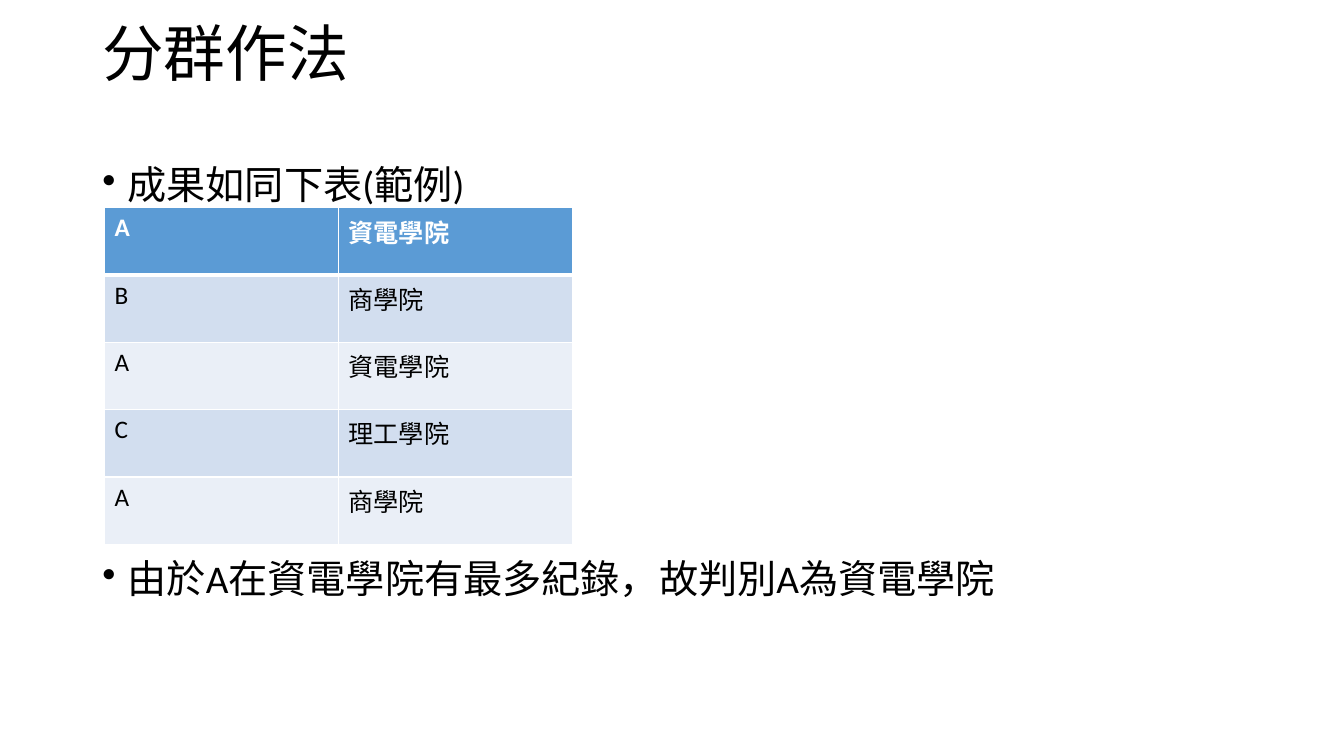
from dataclasses import dataclass

from lxml import etree
from pptx import Presentation
from pptx.dml.color import RGBColor
from pptx.enum.text import MSO_ANCHOR
from pptx.oxml.ns import qn
from pptx.util import Pt

TOP, MIDDLE = MSO_ANCHOR.TOP, MSO_ANCHOR.MIDDLE
FONT = "Calibri"
BLACK, WHITE = "000000", "FFFFFF"
HEAD, BANDS = "5B9BD5", ("D2DEEF", "EAEFF7")
COL, ROW = 167.2, 48.1
INDENT = 18


@dataclass
class Label:
    text: str
    top: float
    width: float
    height: float
    size: float
    anchor: MSO_ANCHOR = TOP
    bullet: bool = False


LABELS = [
    Label("分群作法", -11.5, 828, 104.4, 44, MIDDLE),
    Label("成果如同下表(範例)", 115, 877, 44, 28, bullet=True),
    Label("由於A在資電學院有最多紀錄，故判別A為資電學院", 396.4, 877, 44, 28, bullet=True),
]
RECORDS = [
    ("A", "資電學院"),
    ("B", "商學院"),
    ("A", "資電學院"),
    ("C", "理工學院"),
    ("A", "商學院"),
]


def color(code: str) -> RGBColor:
    return RGBColor.from_string(code)


def style(para, size: float, code: str, bold: bool = False) -> None:
    font = para.font
    font.name, font.size, font.bold = FONT, Pt(size), bold
    font.color.rgb = color(code)


def add_label(slide, label: Label) -> None:
    box = slide.shapes.add_textbox(Pt(66), Pt(label.top), Pt(label.width), Pt(label.height))
    frame = box.text_frame
    frame.word_wrap = True
    frame.vertical_anchor = label.anchor
    para = frame.paragraphs[0]
    para.text = label.text
    para.line_spacing = 0.9
    style(para, label.size, BLACK)
    if label.bullet:
        props = para._p.get_or_add_pPr()
        props.set("marL", str(Pt(INDENT)))
        props.set("indent", str(-Pt(INDENT)))
        mark = etree.Element(qn("a:buChar"), char="•")
        props.find(qn("a:defRPr")).addprevious(mark)


def add_edges(cell, under: float) -> None:
    props = cell._tc.get_or_add_tcPr()
    widths = {"lnL": 1, "lnR": 1, "lnT": 1, "lnB": under}
    for place, (tag, width) in enumerate(widths.items()):
        line = etree.Element(qn(f"a:{tag}"), w=str(Pt(width)))
        fill = etree.SubElement(line, qn("a:solidFill"))
        etree.SubElement(fill, qn("a:srgbClr"), val=WHITE)
        props.insert(place, line)


def add_records(slide) -> None:
    rows, cols = len(RECORDS), len(RECORDS[0])
    frame = slide.shapes.add_table(rows, cols, Pt(74.6), Pt(148.4), Pt(cols * COL), Pt(rows * ROW))
    table = frame.table
    for col in table.columns:
        col.width = Pt(COL)
    for r, record in enumerate(RECORDS):
        head = r == 0
        table.rows[r].height = Pt(ROW)
        for c, text in enumerate(record):
            cell = table.cell(r, c)
            cell.text = text
            cell.fill.solid()
            cell.fill.fore_color.rgb = color(HEAD if head else BANDS[(r - 1) % 2])
            style(cell.text_frame.paragraphs[0], 18, WHITE if head else BLACK, head)
            # The line under the header, shared with the next row, is thicker
            add_edges(cell, 3 if head else 1)
            if r == 1:
                cell._tc.tcPr.find(qn("a:lnT")).set("w", str(Pt(3)))


def main() -> None:
    deck = Presentation()
    deck.slide_width, deck.slide_height = Pt(960), Pt(540)
    slide = deck.slides.add_slide(deck.slide_layouts[6])
    # Title and bullets
    for label in LABELS:
        add_label(slide, label)
    # Table of sample records
    add_records(slide)
    deck.save("out.pptx")


if __name__ == "__main__":
    main()
